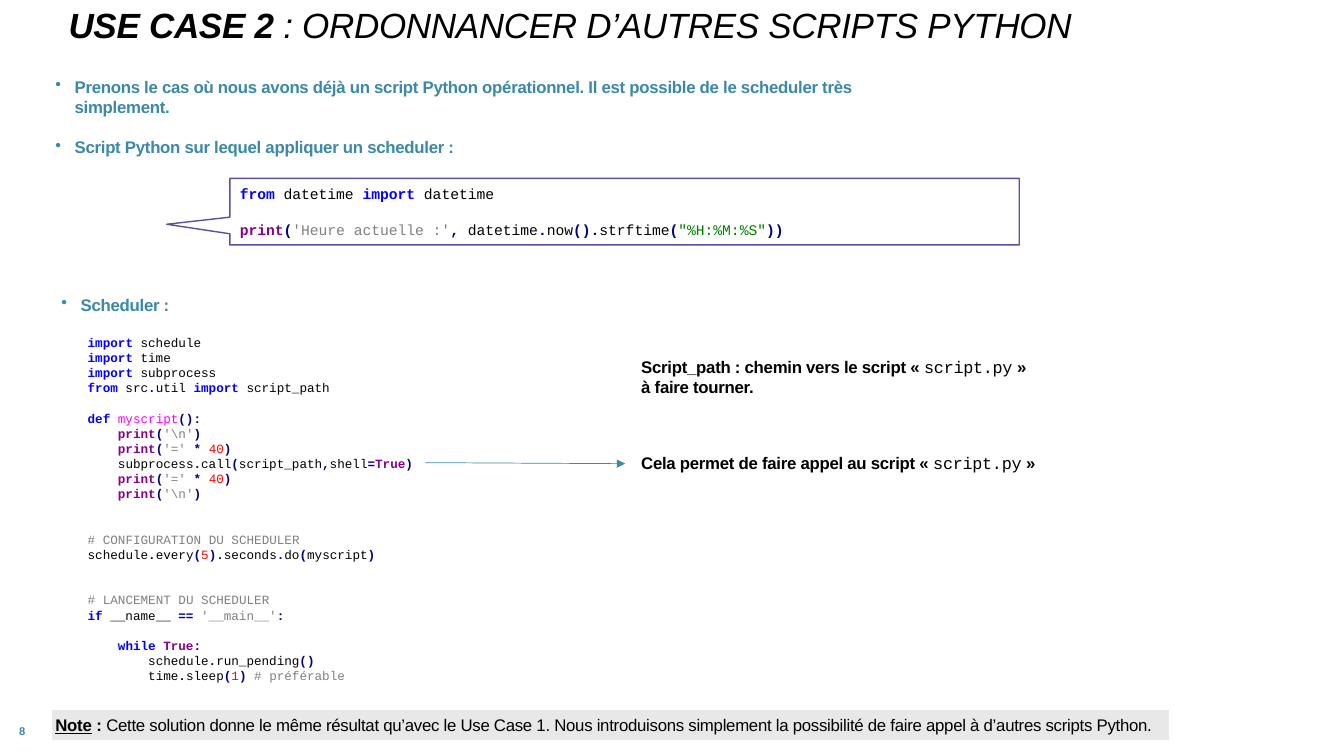
"""Build the slide on scheduling other Python scripts."""
import collections

import pptx
import pptx.dml.color
import pptx.enum.shapes
import pptx.enum.text
import pptx.oxml
import pptx.oxml.ns
import pptx.util

Inches = pptx.util.Inches
Pt = pptx.util.Pt
RGBColor = pptx.dml.color.RGBColor
MIDDLE = pptx.enum.text.MSO_ANCHOR.MIDDLE
TOP = pptx.enum.text.MSO_ANCHOR.TOP

BLACK = RGBColor(0x00, 0x00, 0x00)
WHITE = RGBColor(0xFF, 0xFF, 0xFF)
TEAL = RGBColor(0x3B, 0x88, 0xA8)
PURPLE = RGBColor(0x5C, 0x4F, 0x9C)
LIGHT_GREY = RGBColor(0xE8, 0xE8, 0xE8)
BLUE = RGBColor(0x00, 0x00, 0xFF)
NAVY = RGBColor(0x00, 0x00, 0x80)
VIOLET = RGBColor(0x88, 0x00, 0x88)
GREY = RGBColor(0x80, 0x80, 0x80)
RED = RGBColor(0xFF, 0x00, 0x00)
MAGENTA = RGBColor(0xFF, 0x00, 0xFF)
GREEN = RGBColor(0x00, 0x80, 0x00)

Style = collections.namedtuple(
    "Style", "font color bold italic underline spacing", defaults=(False, False, 0))
TITLE_BOLD = Style("Arial", BLACK, True, True, False, -20)
TITLE = TITLE_BOLD._replace(bold=False)
NUMBER = Style("Arial", TEAL, True)
BULLET = NUMBER._replace(spacing=-20)
BOLD = BULLET._replace(color=BLACK)
BODY = BOLD._replace(bold=False)
UNDERLINED = BOLD._replace(underline=True)
FILE_NAME = BODY._replace(font="Courier New")
PLAIN = Style("Courier New", BLACK, False)
KEYWORD = Style("Courier New", BLUE, True)
BUILTIN = Style("Courier New", VIOLET, True)
SYMBOL = Style("Courier New", NAVY, True)
STRING = Style("Courier New", GREY, False)
COMMENT = STRING
QUOTED = Style("Courier New", GREEN, False)
DIGIT = Style("Courier New", RED, False)
FUNCTION = Style("Courier New", MAGENTA, False)


def write(shape, size, lines, anchor=MIDDLE, insets=(0, 0), bulleted=False, line_height=None):
    """Fill a shape with lines, each one a gap in points and its styled pieces."""
    frame = shape.text_frame
    frame.word_wrap = True
    frame.vertical_anchor = anchor
    frame.margin_left = frame.margin_right = Inches(insets[0])
    frame.margin_top = frame.margin_bottom = Inches(insets[1])
    for index, (gap, pieces) in enumerate(lines):
        paragraph = frame.paragraphs[0] if index == 0 else frame.add_paragraph()
        paragraph.alignment = pptx.enum.text.PP_ALIGN.LEFT
        paragraph.space_before = Pt(gap)
        if line_height:
            paragraph.line_spacing = line_height
        if bulleted:
            properties = paragraph._p.get_or_add_pPr()
            properties.set("marL", str(Inches(0.19)))
            properties.set("indent", str(-Inches(0.19)))
            properties.append(pptx.oxml.parse_xml(
                f'<a:buChar {pptx.oxml.ns.nsdecls("a")} char="•"/>'))
        for style, text in pieces:
            run = paragraph.add_run()
            run.text = text
            run.font.name = style.font
            run.font.size = Pt(size)
            run.font.bold = style.bold
            run.font.italic = style.italic
            run.font.underline = style.underline
            run.font.color.rgb = style.color
            if style.spacing:
                run._r.get_or_add_rPr().set("spc", str(style.spacing))


def add_text(left, top, width, height, size, lines, **options):
    """Add a text box and write its lines."""
    box = slide.shapes.add_textbox(Inches(left), Inches(top), Inches(width), Inches(height))
    write(box, size, lines, **options)


presentation = pptx.Presentation()
presentation.slide_width = Inches(13.33)
presentation.slide_height = Inches(7.5)
slide = presentation.slides.add_slide(presentation.slide_layouts[6])

add_text(0.68, 0.12, 12.25, 0.78, 25, [
    (0, [(TITLE_BOLD, "USE CASE 2 "), (TITLE, ": ORDONNANCER D’AUTRES SCRIPTS PYTHON")]),
], anchor=TOP, line_height=0.8)
add_text(0.19, 7.15, 0.31, 0.2, 8, [(0, [(NUMBER, "8")])])

CODE_GAP = 10.8
PRINT_NEWLINE = [(PLAIN, "    "), (BUILTIN, "print"), (SYMBOL, "("), (STRING, r"'\n'"),
                 (SYMBOL, ")")]
PRINT_RULE = [(PLAIN, "    "), (BUILTIN, "print"), (SYMBOL, "("), (STRING, "'='"),
              (SYMBOL, " * "), (DIGIT, "40"), (SYMBOL, ")")]
imports = [(0, [(KEYWORD, "import"), (PLAIN, f" {module}")])
           for module in ("schedule", "time", "subprocess")]
add_text(0.87, 3.17, 4.56, 3.76, 9, imports + [
    (0, [(KEYWORD, "from"), (PLAIN, " src"), (SYMBOL, "."), (PLAIN, "util "),
         (KEYWORD, "import"), (PLAIN, " script_path")]),
    (CODE_GAP, [(KEYWORD, "def "), (FUNCTION, "myscript"), (SYMBOL, "():")]),
    (0, PRINT_NEWLINE),
    (0, PRINT_RULE),
    (0, [(PLAIN, "    subprocess"), (SYMBOL, "."), (PLAIN, "call"), (SYMBOL, "("),
         (PLAIN, "script_path"), (SYMBOL, ","), (PLAIN, "shell"), (SYMBOL, "="),
         (BUILTIN, "True"), (SYMBOL, ")")]),
    (0, PRINT_RULE),
    (0, PRINT_NEWLINE),
    (2 * CODE_GAP, [(COMMENT, "# CONFIGURATION DU SCHEDULER")]),
    (0, [(PLAIN, "schedule"), (SYMBOL, "."), (PLAIN, "every"), (SYMBOL, "("), (DIGIT, "5"),
         (SYMBOL, ")."), (PLAIN, "seconds"), (SYMBOL, "."), (PLAIN, "do"), (SYMBOL, "("),
         (PLAIN, "myscript"), (SYMBOL, ")")]),
    (2 * CODE_GAP, [(COMMENT, "# LANCEMENT DU SCHEDULER")]),
    (0, [(KEYWORD, "if"), (PLAIN, " __name__ "), (SYMBOL, "== "), (STRING, "'__main__'"),
         (SYMBOL, ":")]),
    (CODE_GAP, [(KEYWORD, "    while "), (BUILTIN, "True"), (SYMBOL, ":")]),
    (0, [(PLAIN, "        schedule"), (SYMBOL, "."), (PLAIN, "run_pending"), (SYMBOL, "()")]),
    (0, [(PLAIN, "        time"), (SYMBOL, "."), (PLAIN, "sleep"), (SYMBOL, "("),
         (DIGIT, "1"), (SYMBOL, ") "), (COMMENT, "# préférable")]),
])

callout = slide.shapes.add_shape(
    pptx.enum.shapes.MSO_SHAPE.RECTANGULAR_CALLOUT,
    Inches(2.28), Inches(1.77), Inches(7.83), Inches(0.66))
callout.adjustments[0] = -0.58
callout.adjustments[1] = 0.19
callout.shadow.inherit = False
callout.fill.solid()
callout.fill.fore_color.rgb = WHITE
callout.line.color.rgb = PURPLE
callout.line.width = Pt(1)
write(callout, 10.5, [
    (0, [(KEYWORD, "from"), (PLAIN, " datetime "), (KEYWORD, "import"), (PLAIN, " datetime")]),
    (12.5, [(BUILTIN, "print"), (SYMBOL, "("), (STRING, "'Heure actuelle :'"), (SYMBOL, ","),
            (PLAIN, " datetime"), (SYMBOL, "."), (PLAIN, "now"), (SYMBOL, "()."),
            (PLAIN, "strftime"), (SYMBOL, "("), (QUOTED, '"%H:%M:%S"'), (SYMBOL, "))")]),
], insets=(0.1, 0.05))

add_text(0.55, 0.76, 8.51, 0.8, 12, [
    (0, [(BULLET, "Prenons le cas où nous avons déjà un script Python opérationnel. "
                  "Il est possible de le scheduler très simplement.")]),
    (14.5, [(BULLET, "Script Python sur lequel appliquer un scheduler :")]),
], bulleted=True)
add_text(0.61, 2.77, 8.51, 0.5, 12, [(0, [(BULLET, "Scheduler :")])], bulleted=True)

add_text(6.36, 3.44, 3.91, 0.6, 12, [
    (0, [(BOLD, "Script_path : chemin vers le script « "), (FILE_NAME, "script.py"),
         (BOLD, " » à faire tourner.")]),
])
add_text(6.36, 4.36, 4.8, 0.46, 12, [
    (0, [(BOLD, "Cela permet de faire appel au script « "), (FILE_NAME, "script.py"),
         (BOLD, " »")]),
])

arrow = slide.shapes.add_connector(
    pptx.enum.shapes.MSO_CONNECTOR.STRAIGHT, Inches(4.22), Inches(4.59), Inches(6.2), Inches(4.6))
arrow.line.color.rgb = TEAL
arrow.line.width = Pt(0.5)
arrow.line._get_or_add_ln().append(pptx.oxml.parse_xml(
    f'<a:tailEnd {pptx.oxml.ns.nsdecls("a")} type="triangle"/>'))
arrow._element.spPr.append(pptx.oxml.parse_xml(
    f'<a:effectLst {pptx.oxml.ns.nsdecls("a")}/>'))

note = slide.shapes.add_shape(
    pptx.enum.shapes.MSO_SHAPE.RECTANGLE, Inches(0.51), Inches(7.03), Inches(11.1), Inches(0.32))
note.shadow.inherit = False
note.fill.solid()
note.fill.fore_color.rgb = LIGHT_GREY
note.line.color.rgb = WHITE
note.line.width = Pt(1.5)
write(note, 12, [
    (0, [(UNDERLINED, "Note"), (BOLD, " : "),
         (BODY, "Cette solution donne le même résultat qu’avec le Use Case 1. Nous introduisons "
                "simplement la possibilité de faire appel à d’autres scripts Python.")]),
], insets=(0.04, 0))

presentation.save("out.pptx")
